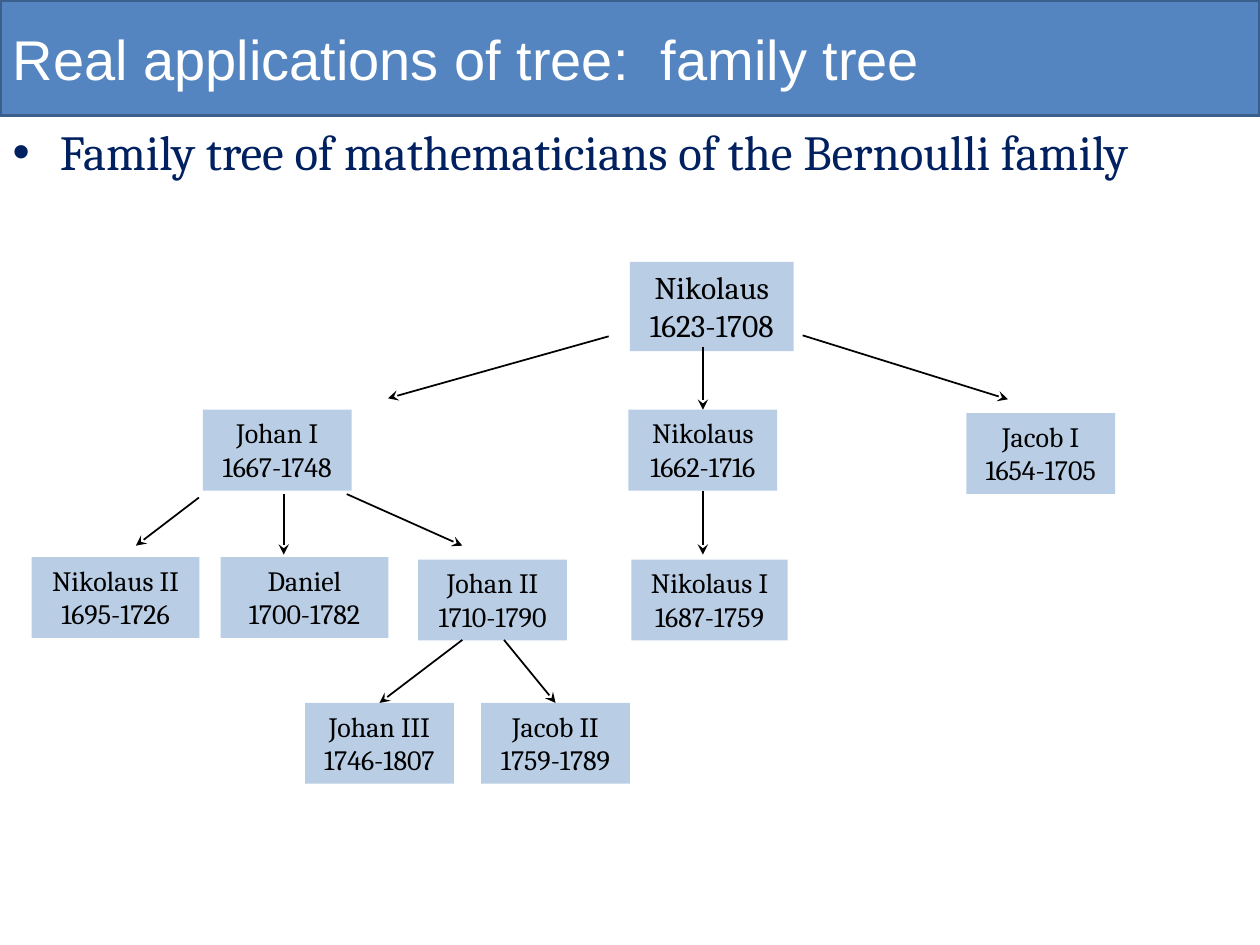
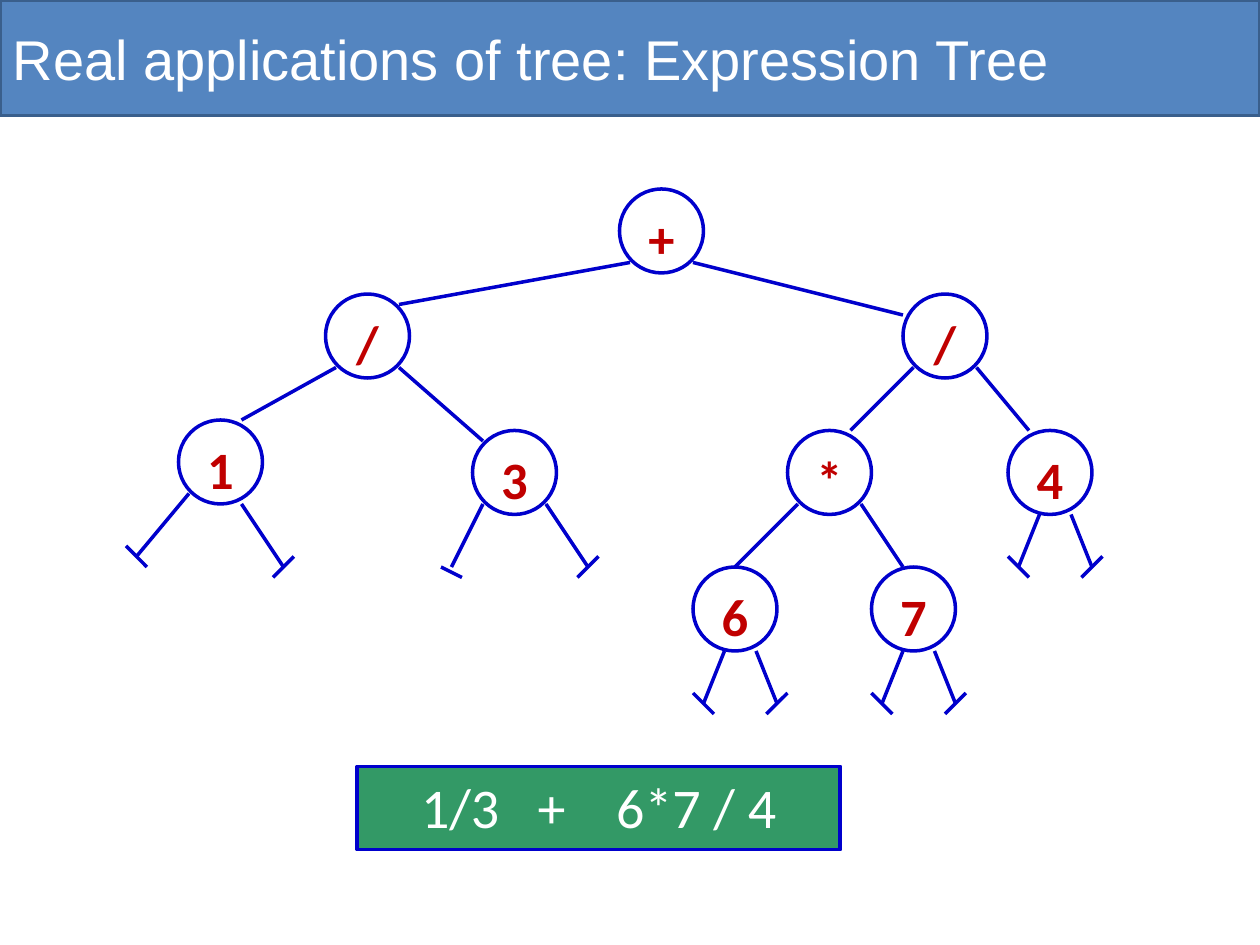
from dataclasses import dataclass

from lxml import etree
from pptx import Presentation
from pptx import util as u
from pptx.dml.color import RGBColor
from pptx.enum import shapes, text
from pptx.oxml.ns import qn

BAND_BLUE = RGBColor(0x54, 0x85, 0xC0)
BAND_EDGE = RGBColor(0x3A, 0x5F, 0x8C)
NAVY = RGBColor(0x00, 0x20, 0x60)
PALE_BLUE = RGBColor(0xB9, 0xCD, 0xE5)
TREE_BLUE = RGBColor(0x00, 0x00, 0xCC)
SYMBOL_RED = RGBColor(0xC0, 0x00, 0x00)
GREEN = RGBColor(0x33, 0x99, 0x66)
WHITE = RGBColor(0xFF, 0xFF, 0xFF)
BLACK = RGBColor(0x00, 0x00, 0x00)

PAGE_WIDTH = 25.4
PAGE_HEIGHT = 19.05
BAND_HEIGHT = 2.33
GRID = 2.54 / 12
CIRCLE = 8
FALLING = (-1, 1)
RISING = (1, -1)
SLIGHT = (0, 1)


@dataclass(frozen=True)
class Style:
    font: str
    size: float
    color: RGBColor
    bold: bool = False
    align: text.PP_ALIGN = text.PP_ALIGN.CENTER


@dataclass(frozen=True)
class Span:
    words: str
    spacing: float = 0


@dataclass(frozen=True)
class Person:
    name: str
    years: str
    left: float
    top: float
    width: float = 3
    height: float = 1.63
    size: float = 16


@dataclass(frozen=True)
class Arrow:
    start: tuple[float, float]
    end: tuple[float, float]
    parent: str = ""
    child: str = ""


@dataclass(frozen=True)
class Stub:
    start: tuple[int, int]
    tip: tuple[int, int]
    bar: tuple[int, int]


LEAF = (Stub((3, 8), (1, 13), FALLING), Stub((6, 8), (8, 13), RISING))


@dataclass(frozen=True)
class Node:
    symbol: str
    left: int
    top: int
    stubs: tuple[Stub, ...] = ()


TITLE = Style("Arial", 32, WHITE, align=text.PP_ALIGN.LEFT)
BULLET = Style("Cambria", 28, NAVY, align=text.PP_ALIGN.LEFT)
SYMBOL = Style("Calibri", 30, SYMBOL_RED, bold=True)
FORMULA = Style("Calibri", 32, WHITE)

PEOPLE = [
    Person("Nikolaus", "1623-1708", 12.7, 5.28, 3.3, 1.8, 18),
    Person("Johan I", "1667-1748", 4.09, 8.26),
    Person("Nikolaus", "1662-1716", 12.67, 8.26),
    Person("Jacob I", "1654-1705", 19.48, 8.33),
    Person("Nikolaus II", "1695-1726", 0.64, 11.23, 3.38),
    Person("Daniel", "1700-1782", 4.45, 11.23, 3.38),
    Person("Johan II", "1710-1790", 8.43, 11.28),
    Person("Nikolaus I", "1687-1759", 12.73, 11.28, 3.15),
    Person("Johan III", "1746-1807", 6.15, 14.17),
    Person("Jacob II", "1759-1789", 9.7, 14.17),
]

DESCENT = [
    Arrow((14.17, 6.99), (14.17, 8.18), child="1662-1716"),
    Arrow((14.17, 9.96), (14.17, 11.18), parent="1662-1716"),
    Arrow((12.27, 6.78), (7.82, 8.03)),
    Arrow((16.18, 6.76), (20.32, 8.05)),
    Arrow((4.01, 10.03), (2.74, 11)),
    Arrow((5.72, 9.96), (5.72, 11.18)),
    Arrow((6.99, 9.96), (9.32, 11)),
    Arrow((9.32, 12.9), (7.62, 14.17), child="1746-1807"),
    Arrow((10.16, 12.9), (11.23, 14.17), child="1759-1789"),
]

NODES = [
    Node("+", 59, 18),
    Node("/", 31, 28),
    Node("/", 86, 28),
    Node("1", 17, 40, (Stub((1, 7), (-4, 13), FALLING), Stub((6, 8), (10, 14), RISING))),
    Node("3", 45, 41, (Stub((1, 7), (-2, 13), SLIGHT), Stub((7, 7), (11, 13), RISING))),
    Node("*", 75, 41),
    Node("4", 96, 41, LEAF),
    Node("6", 66, 54, LEAF),
    Node("7", 83, 54, LEAF),
]

BRANCHES = [
    ((60, 25), (38, 29)), ((66, 25), (86, 30)),
    ((32, 35), (23, 40)), ((38, 35), (46, 42)),
    ((87, 35), (81, 41)), ((93, 35), (98, 41)),
    ((76, 48), (70, 54)), ((82, 48), (86, 54)),
]


def write(box, lines: list[list[Span]], style: Style) -> None:
    frame = box.text_frame
    frame.word_wrap = True
    for number, line in enumerate(lines):
        para = frame.add_paragraph() if number else frame.paragraphs[0]
        para.alignment = style.align
        para.space_before = u.Pt(0)
        for part in line:
            span = para.add_run()
            span.text = part.words
            span.font.name = style.font
            span.font.size = u.Pt(style.size)
            span.font.bold = style.bold
            span.font.color.rgb = style.color
            if part.spacing:
                span.font._element.set("spc", str(round(part.spacing * 100)))


def place(box, left: float, top: float, width: float, height: float) -> None:
    box.left, box.top, box.width, box.height = map(u.Cm, (left, top, width, height))


def add_block(page, kind, left: float, top: float, width: float, height: float,
              fill: RGBColor | None = None, edge: RGBColor | None = None):
    box = page.shapes.add_shape(kind, *map(u.Cm, (left, top, width, height)))
    box.shadow.inherit = False
    if fill is None:
        box.fill.background()
    else:
        box.fill.solid()
        box.fill.fore_color.rgb = fill
    if edge is None:
        box.line.fill.background()
    else:
        box.line.color.rgb = edge
        box.line.width = u.Pt(2)
    box.text_frame.vertical_anchor = text.MSO_ANCHOR.TOP
    return box


def add_line(page, start, end, color: RGBColor, width: float):
    line = page.shapes.add_connector(
        shapes.MSO_CONNECTOR.STRAIGHT, *map(u.Cm, (*start, *end)))
    line.line.color.rgb = color
    line.line.width = u.Pt(width)
    etree.SubElement(line._element.spPr, qn("a:effectLst"))
    return line


def add_grid_line(page, start, end) -> None:
    add_line(page, [x * GRID for x in start], [x * GRID for x in end], TREE_BLUE, 2)


def add_page(deck, layout: int, title: list[Span]):
    page = deck.slides.add_slide(deck.slide_layouts[layout])
    heading = page.shapes.title
    place(heading, 0, 0, PAGE_WIDTH, BAND_HEIGHT)
    heading.text_frame.vertical_anchor = text.MSO_ANCHOR.MIDDLE
    write(heading, [title], TITLE)
    return page


def add_master_band(deck, page) -> None:
    band = add_block(page, shapes.MSO_SHAPE.RECTANGLE, 0, 0, PAGE_WIDTH, BAND_HEIGHT,
                     BAND_BLUE, BAND_EDGE)
    deck.slide_master.shapes._spTree.insert(2, band._element)


def add_person(page, person: Person):
    box = add_block(page, shapes.MSO_SHAPE.RECTANGLE, person.left, person.top,
                    person.width, person.height, PALE_BLUE)
    write(box, [[Span(person.name)], [Span(person.years)]],
          Style("Cambria", person.size, BLACK))
    box.text_frame.auto_size = text.MSO_AUTO_SIZE.SHAPE_TO_FIT_TEXT
    return box


def add_arrow(page, arrow: Arrow, boxes: dict) -> None:
    line = add_line(page, arrow.start, arrow.end, BLACK, 1)
    if arrow.parent:
        line.begin_connect(boxes[arrow.parent], 2)
    if arrow.child:
        line.end_connect(boxes[arrow.child], 0)
    etree.SubElement(line.line._get_or_add_ln(), qn("a:tailEnd"), type="stealth")


def add_node(page, node: Node) -> None:
    left, top, side = node.left * GRID, node.top * GRID, CIRCLE * GRID
    label = page.shapes.add_textbox(*map(u.Cm, (left, top + GRID, side, 1.55)))
    write(label, [[Span(node.symbol)]], SYMBOL)
    add_block(page, shapes.MSO_SHAPE.OVAL, left, top, side, side, edge=TREE_BLUE)
    for stub in node.stubs:
        x, y = node.left + stub.tip[0], node.top + stub.tip[1]
        add_grid_line(page, (node.left + stub.start[0], node.top + stub.start[1]), (x, y))
        add_grid_line(page, (x - 1, y + stub.bar[0]), (x + 1, y + stub.bar[1]))


def build_family_tree(deck) -> None:
    page = add_page(deck, 1, [Span("Real applications of tree:"), Span(" ", 8.9),
                              Span("family tree")])
    add_master_band(deck, page)
    body = page.placeholders[1]
    place(body, 0, BAND_HEIGHT, 25.6, 3.18)
    write(body, [[Span("Family tree of mathematicians of the Bernoulli family")]], BULLET)
    boxes = {person.years: add_person(page, person) for person in PEOPLE}
    for arrow in DESCENT:
        add_arrow(page, arrow, boxes)


def build_expression_tree(deck) -> None:
    page = add_page(deck, 5, [Span("Real applications of tree: Expression Tree")])
    for node in NODES:
        add_node(page, node)
    for start, end in BRANCHES:
        add_grid_line(page, start, end)
    formula = add_block(page, shapes.MSO_SHAPE.RECTANGLE, 7.2, 15.45, 9.74, 1.68,
                        GREEN, TREE_BLUE)
    write(formula, [[Span("1/3"), Span(" ", 14.5), Span("+"), Span(" ", 21.7),
                     Span("6*7 / 4")]], FORMULA)


def main() -> None:
    deck = Presentation()
    deck.slide_width = u.Cm(PAGE_WIDTH)
    deck.slide_height = u.Cm(PAGE_HEIGHT)
    build_family_tree(deck)
    build_expression_tree(deck)
    deck.save("out.pptx")


if __name__ == "__main__":
    main()
